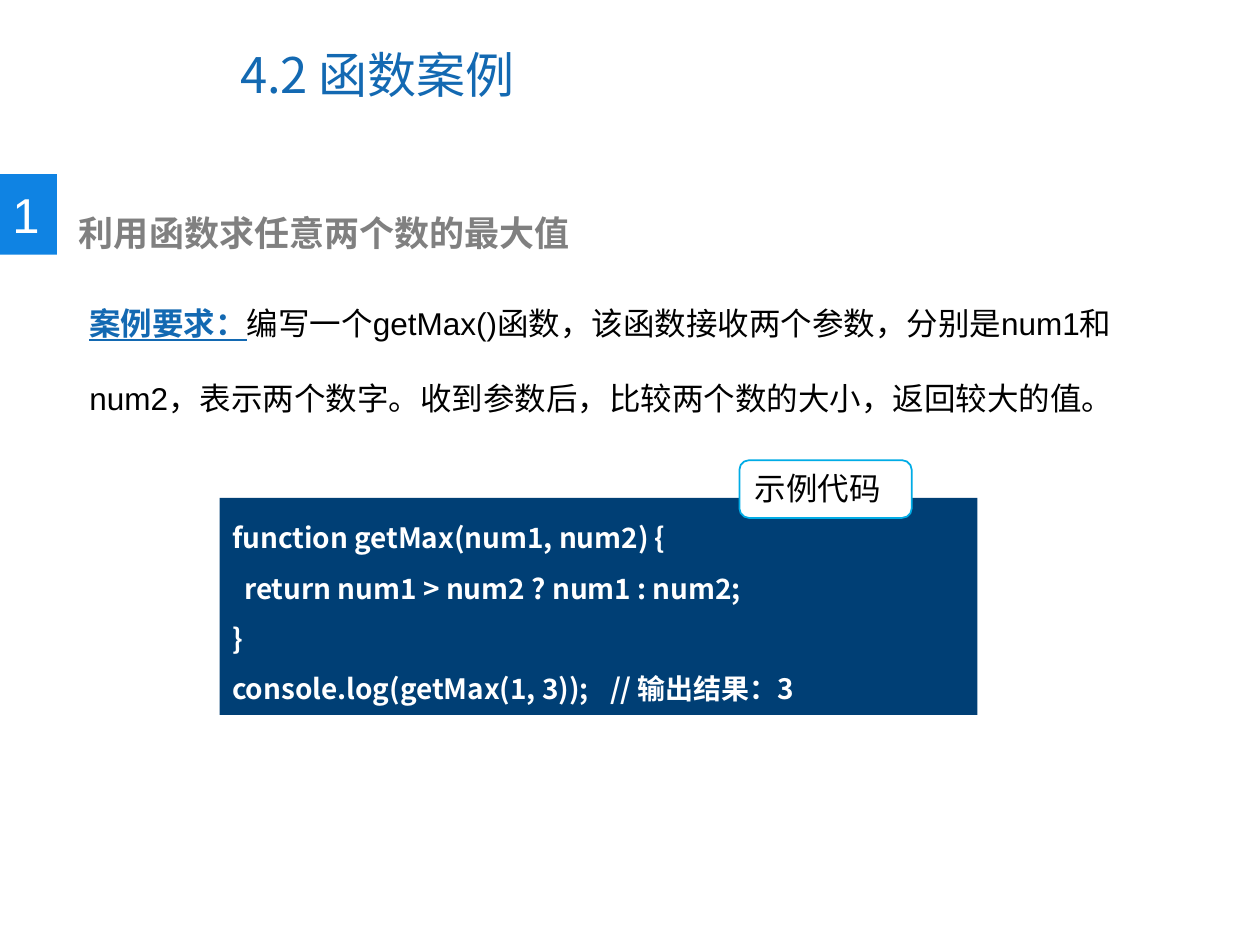
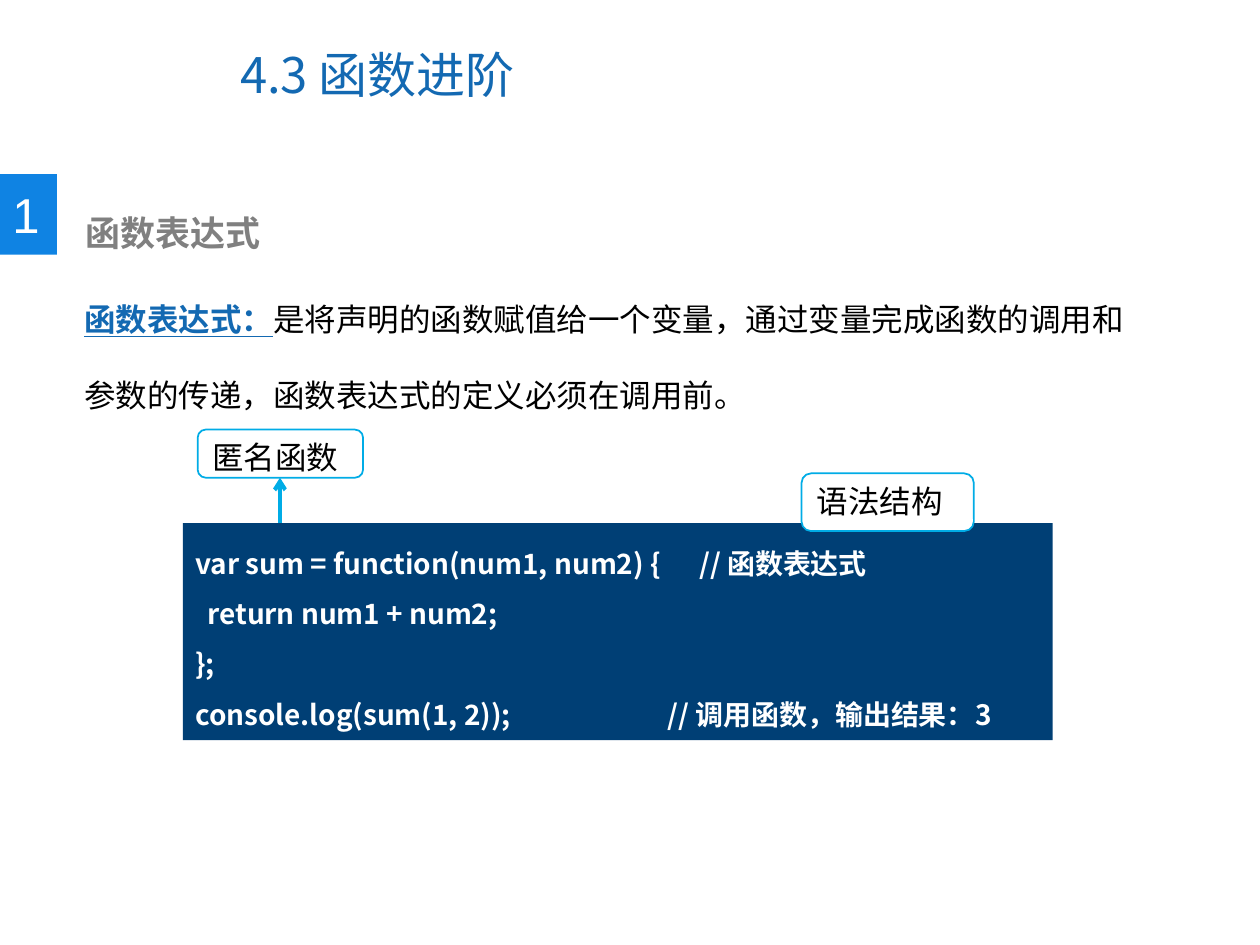
"""Build two lesson slides on JavaScript functions."""
from lxml import etree
from pptx import Presentation
from pptx.dml.color import RGBColor
from pptx.enum.shapes import MSO_CONNECTOR, MSO_SHAPE
from pptx.enum.text import MSO_ANCHOR, MSO_AUTO_SIZE, PP_ALIGN
from pptx.oxml.ns import qn
from pptx.util import Pt

RECTANGLE = MSO_SHAPE.RECTANGLE
ROUNDED = MSO_SHAPE.ROUNDED_RECTANGLE
STRAIGHT = MSO_CONNECTOR.STRAIGHT
LEFT = PP_ALIGN.LEFT
TOP = MSO_ANCHOR.TOP
MIDDLE = MSO_ANCHOR.MIDDLE
FIXED_SIZE = MSO_AUTO_SIZE.NONE

LATIN = "Arial"
CHINESE = "Noto Sans CJK SC"
TITLE_BLUE = "1369B2"
BADGE_BLUE = "0F83E3"
CODE_NAVY = "003F75"
CALLOUT_CYAN = "00ACE6"
GREY = "808080"
BLACK = "000000"
WHITE = "FFFFFF"
TITLE_ONLY = 5
CODE_HEIGHT = 124
CODE_INDENT = 7


def color(hex_string):
    return RGBColor.from_string(hex_string)


def style(paragraph, size, hex_string, font_name=LATIN, bold=False, spacing=None):
    paragraph.alignment = LEFT
    if spacing:
        paragraph.line_spacing = spacing
    font = paragraph.font
    font.name = font_name
    font.size = Pt(size)
    font.bold = bold
    font.color.rgb = color(hex_string)
    for latin in paragraph._p.iter(qn("a:latin")):
        east_asian = etree.Element(qn("a:ea"), typeface=CHINESE)
        latin.addnext(east_asian)


def add_title(slide, text):
    title = slide.shapes.title
    title.left, title.top, title.width, title.height = Pt(130), Pt(12), Pt(372), Pt(61)
    frame = title.text_frame
    frame.text = text
    frame.auto_size = FIXED_SIZE
    frame.vertical_anchor = MIDDLE
    style(frame.paragraphs[0], 28, TITLE_BLUE, CHINESE)


def add_text_box(slide, left, top, width, height):
    box = slide.shapes.add_textbox(Pt(left), Pt(top), Pt(width), Pt(height))
    box.text_frame.word_wrap = True
    return box.text_frame.paragraphs[0]


def add_panel(slide, preset, bounds, fill, line=None, anchor=TOP):
    panel = slide.shapes.add_shape(preset, *map(Pt, bounds))
    panel.shadow.inherit = False
    panel.fill.solid()
    panel.fill.fore_color.rgb = color(fill)
    if line:
        panel.line.color.rgb = color(line)
        panel.line.width = Pt(1)
    else:
        panel.line.fill.background()
    panel.text_frame.vertical_anchor = anchor
    return panel.text_frame


def add_heading(slide, number, text, left):
    badge = add_panel(slide, RECTANGLE, (0, 99.5, 32.5, 46), BADGE_BLUE, anchor=MIDDLE)
    badge.word_wrap = False
    badge.text = number
    style(badge.paragraphs[0], 28, WHITE)
    heading = add_text_box(slide, left, 117.5, 362, 31.5)
    heading.text = text
    style(heading, 20, GREY, bold=True)


def add_explanation(slide, left, top, term, text):
    paragraph = add_text_box(slide, left, top, 623, 94)
    term_run = paragraph.add_run()
    term_run.text = term
    term_run.font.bold = True
    term_run.font.underline = True
    term_run.font.color.rgb = color(TITLE_BLUE)
    paragraph.add_run().text = text
    style(paragraph, 18, BLACK, spacing=2.0)


def add_tab_stop(paragraph, position):
    properties = paragraph._p.get_or_add_pPr()
    tabs = etree.SubElement(properties, qn("a:tabLst"))
    etree.SubElement(tabs, qn("a:tab"), pos=str(Pt(position)), algn="l")


def add_code(slide, left, top, width, lines):
    """Draw code lines given as (indent level, code, comment, comment offset)."""
    frame = add_panel(slide, RECTANGLE, (left, top, width, CODE_HEIGHT), CODE_NAVY)
    for index, (level, code, comment, offset) in enumerate(lines):
        paragraph = frame.add_paragraph() if index else frame.paragraphs[0]
        paragraph.add_run().text = f"{code}\t{comment}" if comment else code
        if level:
            paragraph._p.get_or_add_pPr().set("marL", str(Pt(level * CODE_INDENT)))
        paragraph.line_spacing = 1.5
        if comment:
            add_tab_stop(paragraph, offset)
        style(paragraph, 16, WHITE, CHINESE, bold=True)


def add_callout(slide, text, left, top, width=98.5, height=33):
    frame = add_panel(slide, ROUNDED, (left, top, width, height), WHITE, CALLOUT_CYAN)
    frame.text = text
    style(frame.paragraphs[0], 18, BLACK)


def add_up_arrow(slide, x, bottom, top):
    arrow = slide.shapes.add_connector(STRAIGHT, Pt(x), Pt(bottom), Pt(x), Pt(top))
    arrow.line.color.rgb = color(CALLOUT_CYAN)
    arrow.line.width = Pt(2.25)
    etree.SubElement(arrow.line._get_or_add_ln(), qn("a:tailEnd"), type="arrow")
    etree.SubElement(arrow._element.spPr, qn("a:effectLst"))


def add_lesson(presentation, title):
    slide = presentation.slides.add_slide(presentation.slide_layouts[TITLE_ONLY])
    add_title(slide, title)
    return slide


def build_maximum_slide(presentation):
    slide = add_lesson(presentation, "4.2 函数案例")
    add_heading(slide, "1", "利用函数求任意两个数的最大值", 38)
    add_explanation(
        slide, 44, 148.5, "案例要求：",
        "编写一个getMax()函数，该函数接收两个参数，分别是num1和num2，"
        "表示两个数字。收到参数后，比较两个数的大小，返回较大的值。")
    add_code(slide, 125.5, 284.5, 433, [
        (0, "function getMax(num1, num2) {", "", 0),
        (1, "return num1 > num2 ? num1 : num2;", "", 0),
        (0, "}", "", 0),
        (0, "console.log(getMax(1, 3));", "// 输出结果：3", 216),
    ])
    add_callout(slide, "示例代码", 422.5, 263)


def build_expression_slide(presentation):
    slide = add_lesson(presentation, "4.3 函数进阶")
    add_heading(slide, "1", "函数表达式", 41.5)
    add_explanation(
        slide, 41, 146.5, "函数表达式：",
        "是将声明的函数赋值给一个变量，通过变量完成函数的调用和参数的传递，"
        "函数表达式的定义必须在调用前。")
    add_code(slide, 104.5, 299, 497, [
        (0, "var sum = function(num1, num2) {", "// 函数表达式", 288),
        (1, "return num1 + num2;", "", 0),
        (0, "};", "", 0),
        (0, "console.log(sum(1, 2));", "// 调用函数，输出结果：3", 270),
    ])
    add_callout(slide, "语法结构", 458, 270.5)
    add_up_arrow(slide, 160, 299, 273)
    add_callout(slide, "匿名函数", 113, 245.5, 94.5, 27.5)


def main():
    presentation = Presentation()
    presentation.slide_width = Pt(720)
    presentation.slide_height = Pt(540)
    build_maximum_slide(presentation)
    build_expression_slide(presentation)
    presentation.save("out.pptx")


if __name__ == "__main__":
    main()
